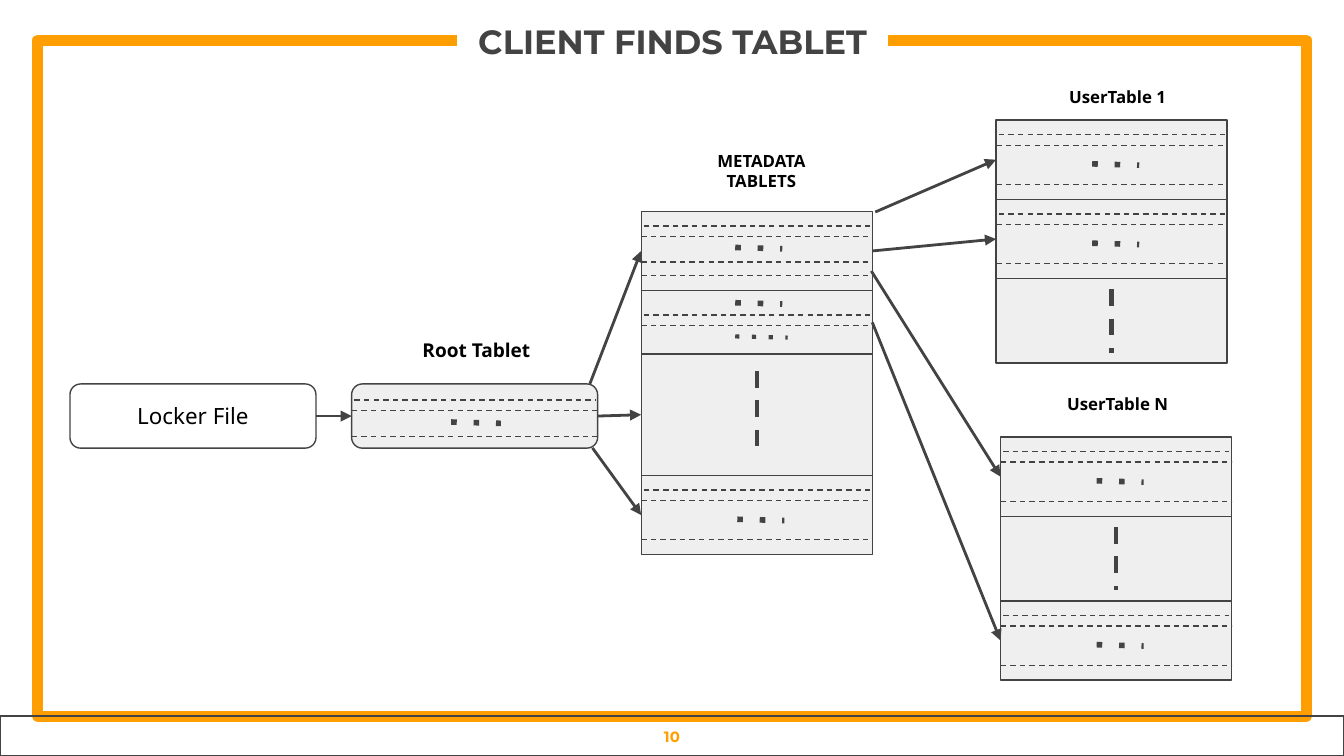
"""Build the slide showing how a client finds a tablet."""
import pptx
import pptx.util
import pptx.dml.color
import pptx.enum.dml
import pptx.enum.shapes
import pptx.enum.text
import pptx.oxml.ns
from lxml import etree

Pt = pptx.util.Pt
SHAPE = pptx.enum.shapes.MSO_SHAPE
MIDDLE = pptx.enum.text.MSO_ANCHOR.MIDDLE
TOP = pptx.enum.text.MSO_ANCHOR.TOP
DARK, ORANGE, GREY, WHITE, BLACK = "434343", "FF9E00", "EFEFEF", "FFFFFF", "000000"
RIGHT, LEFT = 3, 1
INSET = 1.4

FRAME = [(244.8, 21.6), (20.2, 21.6), (20.2, 383.8), (699.8, 383.8), (699.8, 21.6), (475.9, 21.6)]
BLOCKS = {
    "root": dict(height=34.4, inset=8.6, dashes=[14.4, 28], dots=[(20.4, 53.3, 79.9, 3)]),
    "tablet": dict(height=42.5, inset=7.9, dashes=[13.5, 34.5], dots=[(23.5, 51.5, 76.7, 3)]),
    "first": dict(height=42.5, inset=7.9, dashes=[13.5, 27.2, 34.5], dots=[(19.4, 50.4, 75.6, 3)]),
    "second": dict(height=34, inset=13, dashes=[18.7], dots=[(6.5, 50.4, 75.6, 3), (24.5, 50.4, 78.5, 2.25)]),
    "long gap": dict(height=65, gap=(9.2, 51.6)),
    "gap": dict(height=45.3, gap=(5.8, 39.6)),
}
STACKS = {
    "root": (188.4, 205.7, 131.8, ["root"]),
    "meta": (343.5, 113.2, 123.8, ["first", "second", "long gap", "tablet"]),
    "user 1": (533.6, 64.3, 123.8, ["tablet", "tablet", "gap"]),
    "user N": (536, 234.1, 123.8, ["tablet", "gap", "tablet"]),
}
ARROWS = [
    (("lock file", 0, RIGHT), ("root", 0, LEFT)),
    ((316, 205.7), ("meta", 0, LEFT)),
    (("root", 0, RIGHT), ("meta", 2, LEFT)),
    ((317.4, 240), ("meta", 3, LEFT)),
    ((468.9, 113.6), ("user 1", 0, LEFT)),
    (("meta", 0, RIGHT), ("user 1", 1, LEFT)),
    ((466.8, 145.2), ("user N", 0, LEFT)),
    (("meta", 1, RIGHT), ("user N", 2, LEFT)),
]
LABELS = [
    ("Root Tablet", 216.7, 175, 77, 28, 10.2),
    ("METADATA TABLETS", 365, 73.4, 85.7, 36, 9),
    ("UserTable 1", 555.8, 41, 85.7, 25.2, 9),
    ("UserTable N", 555.8, 205.2, 85.7, 25.2, 9),
]


def rgb(color):
    return pptx.dml.color.RGBColor.from_string(color)


def write(s, text, size, color, font="Noto Sans", bold=True, anchor=MIDDLE, margin=7.2):
    tf = s.text_frame
    tf.word_wrap = True
    tf.vertical_anchor = anchor
    tf.margin_left = tf.margin_right = tf.margin_top = tf.margin_bottom = Pt(margin)
    p = tf.paragraphs[0]
    p.alignment = pptx.enum.text.PP_ALIGN.CENTER
    r = p.add_run()
    r.text = text
    r.font.name, r.font.size, r.font.bold = font, Pt(size), bold
    r.font.color.rgb = rgb(color)


def paint(s, fill, line, width):
    s.shadow.inherit = False
    if fill:
        s.fill.solid()
        s.fill.fore_color.rgb = rgb(fill)
    else:
        s.fill.background()
    s.line.color.rgb = rgb(line)
    s.line.width = Pt(width)


def add_box(shapes, kind, x, y, w, h, fill):
    s = shapes.add_shape(kind, Pt(x), Pt(y), Pt(w), Pt(h))
    paint(s, fill, DARK, 0.75)
    return s


def add_line(shapes, x1, y1, x2, y2, width, dash=None):
    s = shapes.add_connector(pptx.enum.shapes.MSO_CONNECTOR.STRAIGHT, Pt(x1), Pt(y1), Pt(x2), Pt(y2))
    s.line.color.rgb = rgb(DARK)
    s.line.width = Pt(width)
    if dash:
        s.line.dash_style = pptx.enum.dml.MSO_LINE.DASH
        s.get_or_add_ln().find(pptx.oxml.ns.qn("a:prstDash")).set("val", dash)
    etree.SubElement(s._element.spPr, pptx.oxml.ns.qn("a:effectLst"))
    return s


def add_block(shapes, kind, x, y, w):
    block = BLOCKS[kind]
    outline = SHAPE.ROUNDED_RECTANGLE if kind == "root" else SHAPE.RECTANGLE
    s = add_box(shapes, outline, x, y, w, block["height"], GREY)
    if "gap" in block:
        top, bottom = block["gap"]
        add_line(shapes, x + w / 2, y + top, x + w / 2, y + bottom, 2.25, "dash")
        return s
    add_line(shapes, x + INSET, y + block["inset"], x + w - INSET, y + block["inset"], 0.75, "dash")
    for dy in block["dashes"]:
        add_line(shapes, x, y + dy, x + w, y + dy, 0.75, "dash")
    for dy, start, end, width in block["dots"]:
        add_line(shapes, x + start, y + dy, x + end, y + dy + 0.7, width, "dot")
    return s


def add_arrow(shapes, boxes, start, end):
    x, y = start if len(start) == 2 else (0, 0)
    s = add_line(shapes, x, y, x, y, 1.5)
    if len(start) == 3:
        s.begin_connect(boxes[start[:2]], start[2])
    s.end_connect(boxes[end[:2]], end[2])
    etree.SubElement(s.get_or_add_ln(), pptx.oxml.ns.qn("a:tailEnd")).set("type", "triangle")


def main():
    prs = pptx.Presentation()
    prs.slide_width, prs.slide_height = Pt(720), Pt(405)
    shapes = prs.slides.add_slide(prs.slide_layouts[5]).shapes

    builder = shapes.build_freeform(Pt(FRAME[0][0]), Pt(FRAME[0][1]))
    builder.add_line_segments([(Pt(x), Pt(y)) for x, y in FRAME[1:]], close=False)
    paint(builder.convert_to_shape(), None, ORANGE, 6)

    title = shapes.title
    title.left, title.top, title.width, title.height = Pt(255.6), Pt(8), Pt(209.5), Pt(28)
    write(title, "CLIENT FINDS TABLET", 18, DARK, "Montserrat", margin=0)
    footer = add_box(shapes, SHAPE.RECTANGLE, 0, 383.6, 720, 21.4, None)
    write(footer, "10", 8, ORANGE, "Montserrat")

    lock_file = add_box(shapes, SHAPE.ROUNDED_RECTANGLE, 37.5, 205.7, 131.8, 34.4, WHITE)
    write(lock_file, "Locker File", 12, BLACK, bold=False)
    boxes = {("lock file", 0): lock_file}
    for name, (x, y, w, kinds) in STACKS.items():
        for i, kind in enumerate(kinds):
            boxes[name, i] = add_block(shapes, kind, x, y, w)
            y += BLOCKS[kind]["height"]

    for start, end in ARROWS:
        add_arrow(shapes, boxes, start, end)
    for text, x, y, w, h, size in LABELS:
        label = shapes.add_textbox(Pt(x), Pt(y), Pt(w), Pt(h))
        write(label, text, size, BLACK, anchor=TOP)
    prs.save("out.pptx")


if __name__ == "__main__":
    main()
